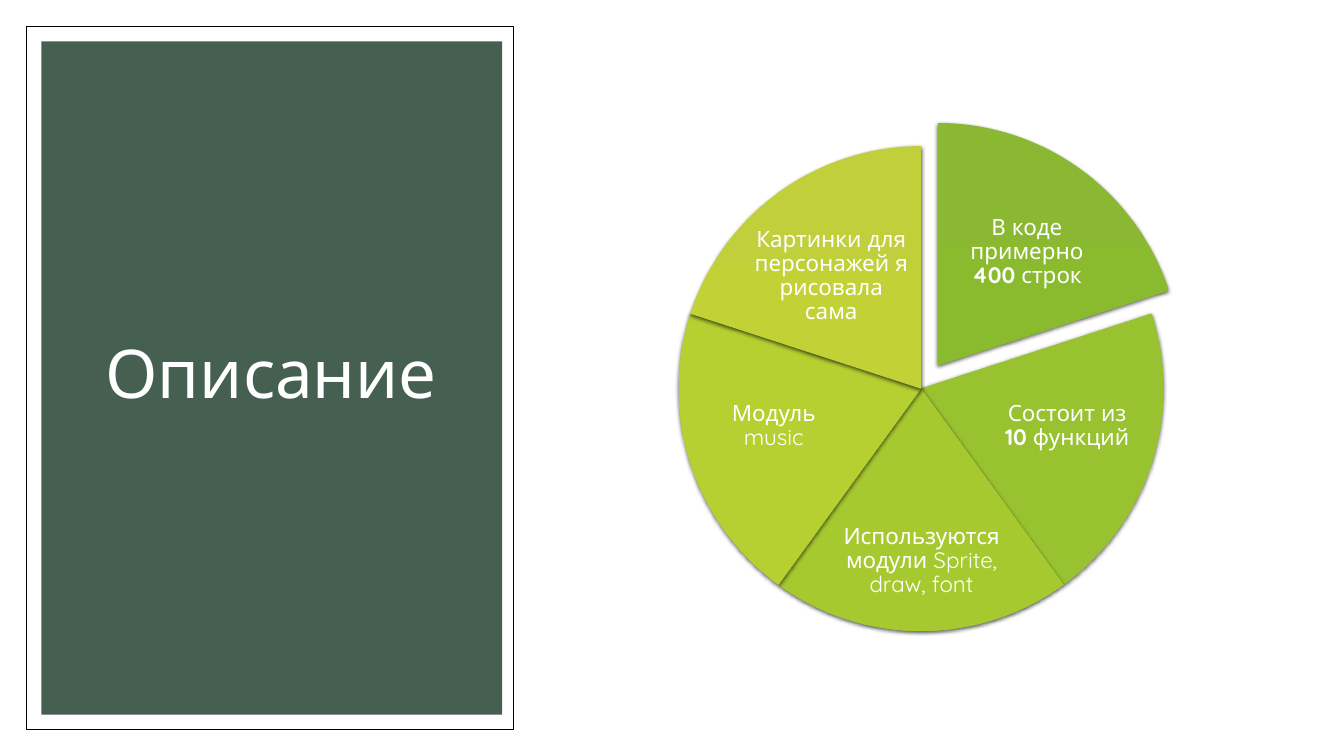
from copy import deepcopy

from lxml.etree import SubElement
from pptx import Presentation
from pptx.dml.color import RGBColor
from pptx.enum.shapes import MSO_SHAPE
from pptx.enum.text import MSO_ANCHOR, PP_ALIGN
from pptx.oxml.ns import qn
from pptx.util import Inches, Pt

COLORS = {"white": "FFFFFF", "black": "000000", "panel": "455F51"}
FONT = "Quicksand"
PIE_SIZE = 4.81
PIE_PLACE = (6.73, 1.45)
PULLED_PLACE = (6.9, 1.22)

# Pie place, gradient colours, label box, label runs as (text, bold)
SLICES = [
    (PULLED_PLACE, ("8AB833", "8ABB2F", "8ABA2F"), (9.37, 1.94, 1.63, 1.12),
     [("В коде примерно ", False), ("400", True), (" строк", False)]),
    (PIE_PLACE, ("97BF33", "98C230", "98C12F"), (9.87, 3.62, 1.43, 1.21),
     [("Состоит из ", False), ("10", True), (" функций", False)]),
    (PIE_PLACE, ("A6C634", "A7C930", "A6C830"), (8.28, 5.05, 1.72, 1.03),
     [("Используются модули Sprite, draw, font", False)]),
    (PIE_PLACE, ("B4CC35", "B6CF31", "B5CE31"), (6.96, 3.62, 1.43, 1.21),
     [("Модуль music", False)]),
    (PIE_PLACE, ("C0CF3A", "C2D236", "C1D136"), (7.43, 2.18, 1.63, 1.12),
     [("Картинки для персонажей я рисовала сама", False)]),
]


def rgb(color):
    return RGBColor.from_string(COLORS.get(color, color))


def write_text(para, text, size=16, bold=False, color="white", font=FONT):
    span = para.add_run()
    span.text = text
    span.font.size = Pt(size)
    span.font.bold = bold
    span.font.name = font
    span.font.color.rgb = rgb(color)


class SlideBuilder:
    def __init__(self, page):
        self.page = page

    def shape(self, kind, place):
        shape = self.page.shapes.add_shape(kind, *map(Inches, place))
        shape.shadow.inherit = False
        shape.line.fill.background()
        return shape

    def panel(self, place, fill, outline=None):
        panel = self.shape(MSO_SHAPE.RECTANGLE, place)
        panel.fill.solid()
        panel.fill.fore_color.rgb = rgb(fill)
        if outline:
            panel.line.color.rgb = rgb(outline)
            panel.line.width = Pt(0.5)

    def label(self, place, runs, size=16, inset=0.02):
        box = self.page.shapes.add_textbox(*map(Inches, place))
        frame = box.text_frame
        frame.word_wrap = True
        frame.vertical_anchor = MSO_ANCHOR.MIDDLE
        frame.margin_left = frame.margin_right = Inches(inset)
        frame.margin_top = frame.margin_bottom = Inches(inset)
        para = frame.paragraphs[0]
        para.alignment = PP_ALIGN.CENTER
        para.line_spacing = 0.9
        for text, bold in runs:
            write_text(para, text, size=size, bold=bold)

    def wedge(self, place, start, end, colors):
        """Draw a pie slice between two angles in degrees, clockwise from the right."""
        wedge = self.shape(MSO_SHAPE.PIE, (*place, PIE_SIZE, PIE_SIZE))
        # An adjustment of 1 is 100000 units; a degree is 60000 units
        wedge.adjustments[0] = start * 0.6
        wedge.adjustments[1] = end * 0.6
        self.gradient(wedge, colors)
        self.soft_shadow(wedge)

    def gradient(self, shape, colors):
        shape.fill.gradient()
        shape.fill.gradient_angle = 270
        stop_list = shape.element.spPr.find(f".//{qn('a:gsLst')}")
        stop_list.append(deepcopy(stop_list[-1]))
        for index, (stop, color) in enumerate(zip(shape.fill.gradient_stops, colors)):
            stop.position = index / 2
            stop.color.rgb = rgb(color)

    def soft_shadow(self, shape):
        effects = shape.element.spPr.find(qn("a:effectLst"))
        shadow = SubElement(effects, qn("a:outerShdw"), blurRad=str(Pt(3)),
                            dist=str(Pt(1)), dir="5400000", algn="ctr", rotWithShape="0")
        color = SubElement(shadow, qn("a:srgbClr"), val=COLORS["black"])
        SubElement(color, qn("a:alpha"), val="63000")


def main():
    deck = Presentation()
    deck.slide_width = Inches(13.33)
    deck.slide_height = Inches(7.5)
    builder = SlideBuilder(deck.slides.add_slide(deck.slide_layouts[6]))

    builder.panel((0, 0, 13.33, 7.5), "white")
    builder.panel((0.26, 0.26, 4.83, 6.98), "white", outline="black")
    builder.panel((0.41, 0.41, 4.57, 6.68), "panel")
    builder.label((0.63, 0.74, 4.12, 5.99), [("Описание", False)], size=48, inset=0.1)

    sweep = 360 / len(SLICES)
    for index, (place, colors, label_place, runs) in enumerate(SLICES):
        start = (270 + index * sweep) % 360
        builder.wedge(place, start, (start + sweep) % 360, colors)
        builder.label(label_place, runs)

    deck.save("out.pptx")


if __name__ == "__main__":
    main()
